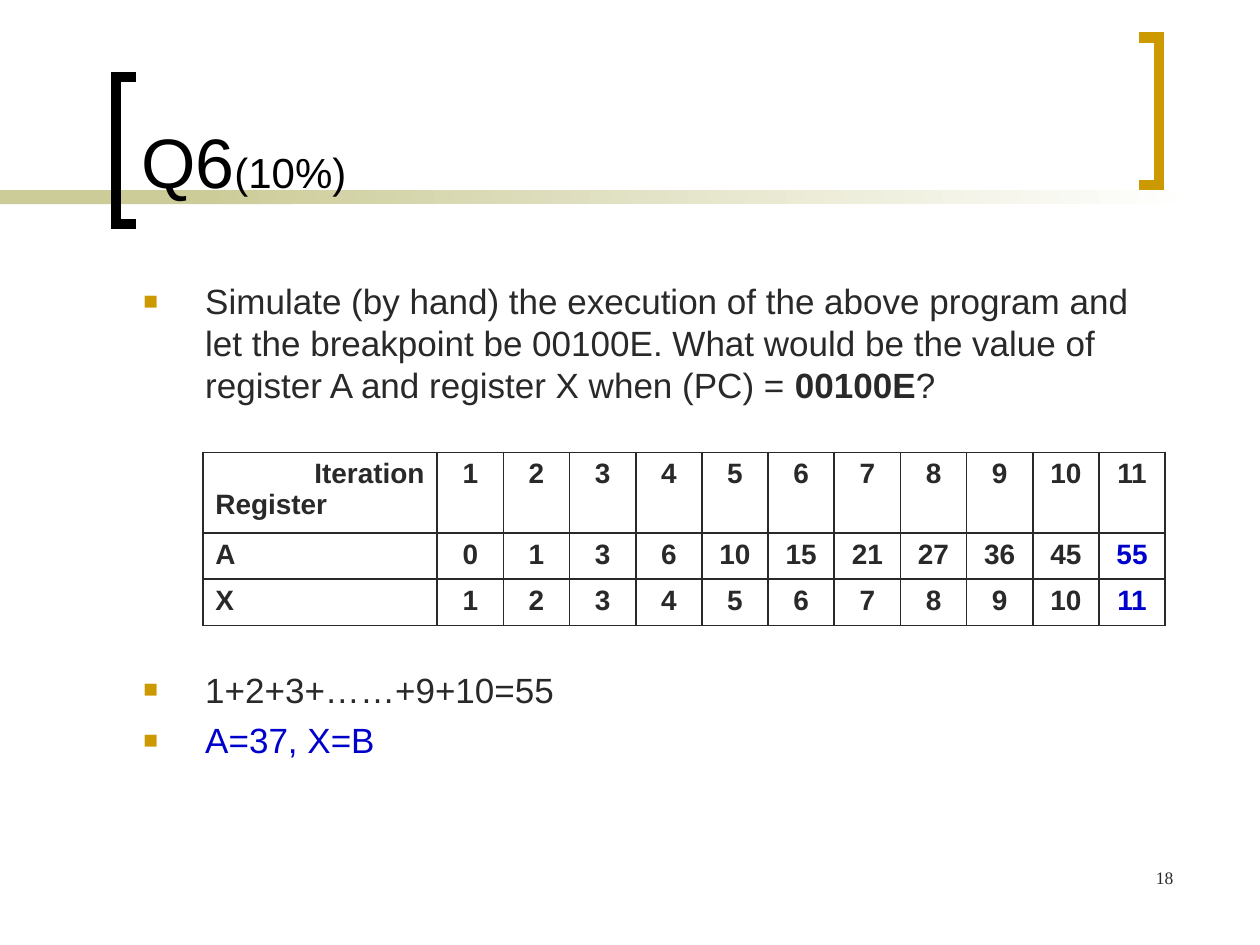
"""Builds the Q6 answer slide with its register trace table."""
from lxml import etree
from pptx import Presentation
from pptx import util as u
from pptx.dml import color as dml
from pptx.enum import shapes, text
from pptx.oxml import ns

INK, BLACK, BLUE, GOLD, SAND, WHITE = "292929", "000000", "0000CC", "CC9900", "CCCC99", "FFFFFF"
ALIGN = text.PP_ALIGN


def colour(code):
    return dml.RGBColor.from_string(code)


def place(x, y, w=0, h=0):
    """Turns percentages of the slide's width and height into lengths."""
    return [u.Inches(share * side / 100) for share, side in zip((x, y, w, h), (10, 7.5, 10, 7.5))]


deck = Presentation()
deck.slide_width, deck.slide_height = place(100, 100)[:2]
slide = deck.slides.add_slide(deck.slide_layouts[5])

band = slide.shapes.add_shape(shapes.MSO_SHAPE.RECTANGLE, *place(0, 20.13, 23.3, 1.47))
fade = slide.shapes.add_shape(shapes.MSO_SHAPE.RECTANGLE, *place(15.8, 20.13, 79.2, 1.47))
band.fill.solid()
band.fill.fore_color.rgb = colour(SAND)
fade.fill.gradient()
fade.fill.gradient_angle = 0
for stop, position, code in zip(fade.fill.gradient_stops, (0, 1), (SAND, WHITE)):
    stop.position = position
    stop.color.rgb = colour(code)
for strip in (band, fade):
    strip.line.fill.background()
    strip.shadow.inherit = False

for tip, spine, top, code in ((10.8, 9.2, 8.13, BLACK), (90.4, 92, 4, GOLD)):
    corners = [place(x, y)[:2] for x, y in
               ((tip, top), (spine, top), (spine, top + 15.6), (tip, top + 15.6))]
    outline = slide.shapes.build_freeform(*corners[0])
    outline.add_line_segments(corners[1:], close=False)
    bracket = outline.convert_to_shape()
    bracket.fill.background()
    bracket.shadow.inherit = False
    bracket.line.width = u.Pt(6)
    bracket.line.color.rgb = colour(code)
    etree.SubElement(bracket.line._get_or_add_ln(), ns.qn("a:miter"), lim="800000")

title = slide.shapes.title
slide.shapes.element.append(title.element)
title.left, title.top, title.width, title.height = place(10.2, 1.47, 78.3, 20.67)
title.text_frame.vertical_anchor = text.MSO_ANCHOR.BOTTOM
heading = title.text_frame.paragraphs[0]
heading.alignment = ALIGN.LEFT
heading.font.name = "Arial"
heading.font.color.rgb = colour(BLACK)
for wording, size in (("Q6", 40), ("(10%)", 24)):
    part = heading.add_run()
    part.text = wording
    part.font.size = u.Pt(size)

question = ("Simulate (by hand) the execution of the above program and let the breakpoint be 00100E. "
            "What would be the value of register A and register X when (PC) = ")
body = slide.shapes.add_textbox(*place(10.4, 28.93, 83.8, 60)).text_frame
body.word_wrap = True
points = (([question, "00100E", "?"], INK, 0), (["1+2+3+……+9+10=55"], INK, 150), (["A=37, X=B"], BLUE, 5))
for number, (parts, code, gap) in enumerate(points):
    point = body.add_paragraph() if number else body.paragraphs[0]
    for wording in parts:
        run = point.add_run()
        run.text = wording
        if wording == "00100E":
            run.font.bold = True
    point.font.name, point.font.size = "Arial", u.Pt(20)
    point.font.color.rgb = colour(code)
    point.space_before, point.line_spacing = u.Pt(gap), u.Pt(24)
    bullet = point._p.get_or_add_pPr()
    bullet.set("marL", str(u.Inches(0.49)))
    bullet.set("indent", str(-u.Inches(0.49)))
    tint = etree.SubElement(bullet, ns.qn("a:buClr"))
    etree.SubElement(tint, ns.qn("a:srgbClr"), val=GOLD)
    etree.SubElement(bullet, ns.qn("a:buSzPct"), val="70000")
    etree.SubElement(bullet, ns.qn("a:buFont"), typeface="Arial")
    etree.SubElement(bullet, ns.qn("a:buChar"), char="■")

trace = (("Iteration\nRegister", *range(1, 12)),
         ("A", 0, 1, 3, 6, 10, 15, 21, 27, 36, 45, 55),
         ("X", *range(1, 12)))
registers = slide.shapes.add_table(3, 12, *place(16.1, 47.87, 76.4, 18.27)).table
for index, column in enumerate(registers.columns):
    column.width = place(5.78 * 10 / 11 if index else 18.6, 0)[0]
for row, share in zip(registers.rows, (8.53, 4.87, 4.87)):
    row.height = place(0, share)[1]
for r, values in enumerate(trace):
    for c, value in enumerate(values):
        cell = registers.cell(r, c)
        cell.text = str(value)
        for entry in cell.text_frame.paragraphs:
            entry.alignment = ALIGN.CENTER if c else ALIGN.LEFT
            entry.font.name, entry.font.size, entry.font.bold = "Arial", u.Pt(16), True
            entry.font.color.rgb = colour(BLUE if r and c == 11 else INK)
        for side in ("lnL", "lnR", "lnT", "lnB"):
            edge = etree.SubElement(cell._tc.get_or_add_tcPr(), ns.qn(f"a:{side}"), w=str(u.Pt(1.08)))
            paint = etree.SubElement(edge, ns.qn("a:solidFill"))
            etree.SubElement(paint, ns.qn("a:srgbClr"), val=INK)
        cell.fill.background()
registers.cell(0, 0).text_frame.paragraphs[0].alignment = ALIGN.RIGHT

footer = slide.shapes.add_textbox(*place(73.3, 91.07, 20.8, 6.67)).text_frame
footer.word_wrap = True
page = footer.paragraphs[0]
page.text = "18"
page.alignment = ALIGN.RIGHT
page.font.name, page.font.size = "Times New Roman", u.Pt(10)
page.font.color.rgb = colour(INK)

deck.save("out.pptx")
